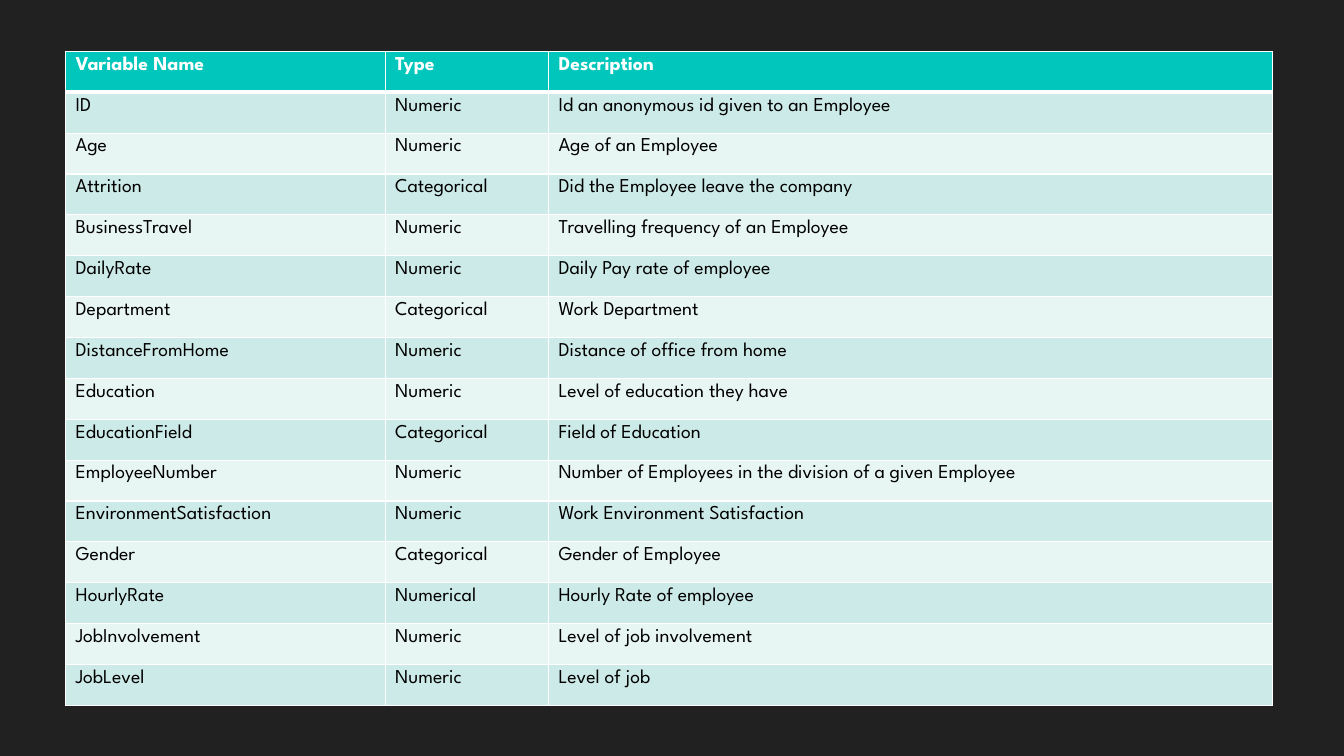
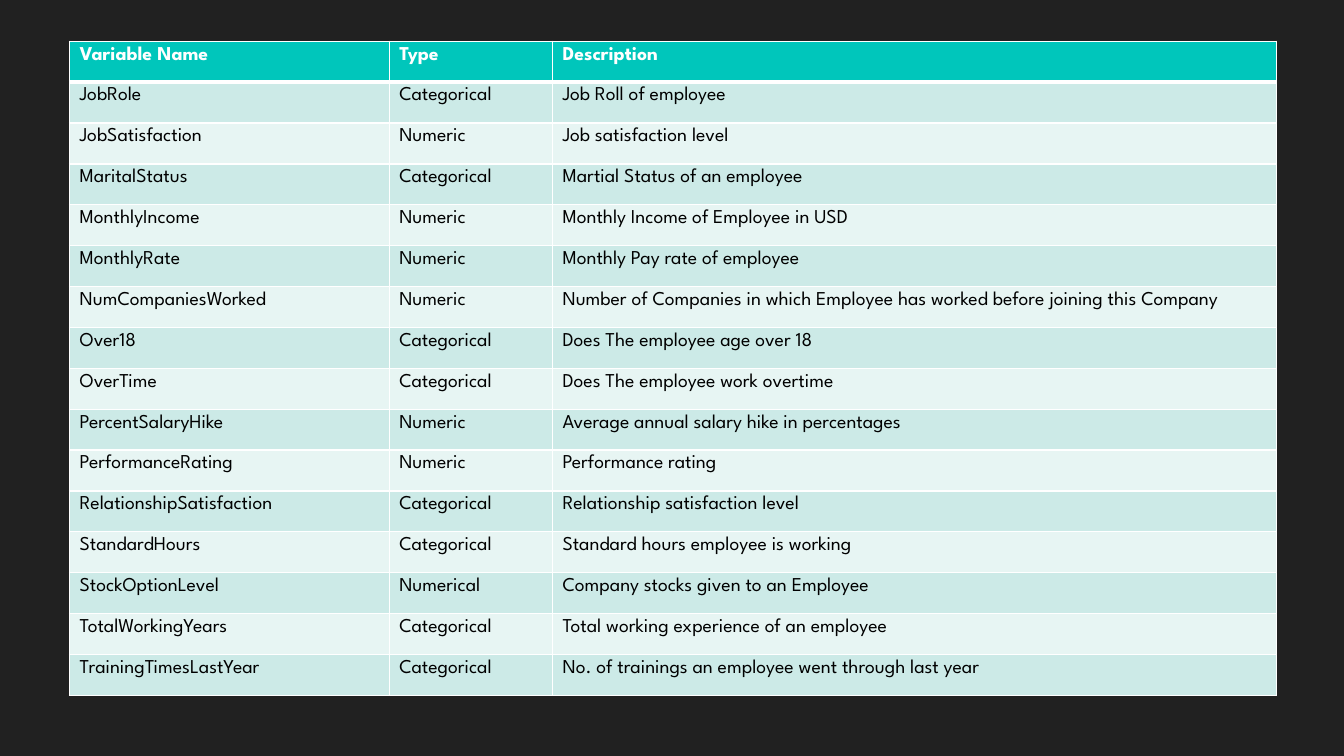
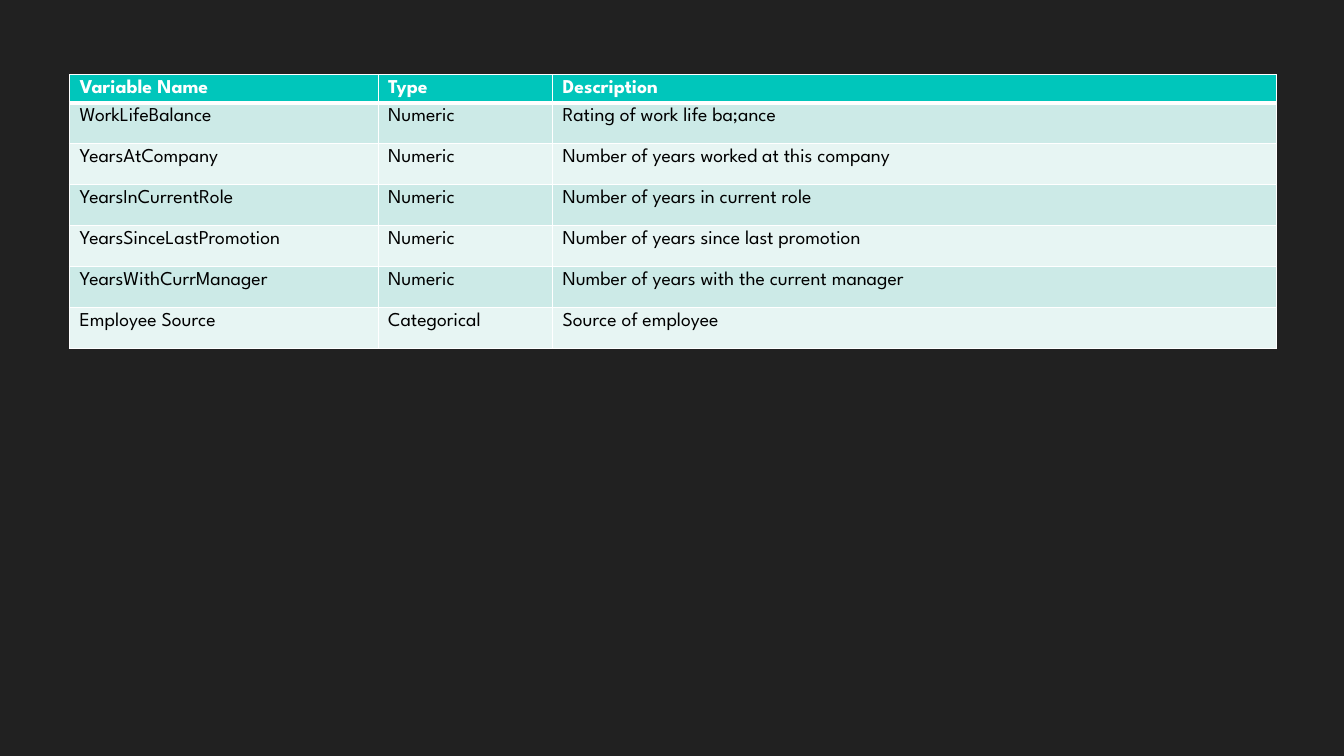
"""Build three slides that list the variables of an employee data set."""
import dataclasses

import lxml.etree
import pptx
import pptx.dml.color
import pptx.oxml.ns
import pptx.util

Inches = pptx.util.Inches


@dataclasses.dataclass(frozen=True)
class Theme:
    background: str = "212121"
    header: str = "00C6BB"
    bands: tuple = ("CCEAE7", "E7F5F3")
    header_text: str = "FFFFFF"
    body_text: str = "000000"
    border: str = "FFFFFF"
    thin: float = 1
    thick: float = 3
    font: str = "League Spartan"
    size: float = 14


THEME = Theme()
ROW_HEIGHT = 6.49 / 16
HEADINGS = ("Variable Name", "Type", "Description")

SLIDES = [
    {
        "left": 0.65, "top": 0.51, "header_height": ROW_HEIGHT,
        "columns": (3.17, 1.62, 7.18),
        "variables": [
            ("ID", "Numeric", "Id an anonymous id given to an Employee"),
            ("Age", "Numeric", "Age of an Employee"),
            ("Attrition", "Categorical", "Did the Employee leave the company"),
            ("BusinessTravel", "Numeric", "Travelling frequency of an Employee"),
            ("DailyRate", "Numeric", "Daily Pay rate of employee"),
            ("Department", "Categorical", "Work Department"),
            ("DistanceFromHome", "Numeric", "Distance of office from home"),
            ("Education", "Numeric", "Level of education they have"),
            ("EducationField", "Categorical", "Field of Education"),
            ("EmployeeNumber", "Numeric", "Number of Employees in the division of a given Employee"),
            ("EnvironmentSatisfaction", "Numeric", "Work Environment Satisfaction"),
            ("Gender", "Categorical", "Gender of Employee"),
            ("HourlyRate", "Numerical", "Hourly Rate of employee"),
            ("JobInvolvement", "Numeric", "Level of job involvement"),
            ("JobLevel", "Numeric", "Level of job"),
        ],
    },
    {
        "left": 0.69, "top": 0.41, "header_height": ROW_HEIGHT,
        "columns": (3.17, 1.62, 7.18),
        "variables": [
            ("JobRole", "Categorical", "Job Roll of employee"),
            ("JobSatisfaction", "Numeric", "Job satisfaction level"),
            ("MaritalStatus", "Categorical", "Martial Status of an employee"),
            ("MonthlyIncome", "Numeric", "Monthly Income of Employee in USD"),
            ("MonthlyRate", "Numeric", "Monthly Pay rate of employee"),
            ("NumCompaniesWorked", "Numeric",
             "Number of Companies in which Employee has worked before joining this Company"),
            ("Over18", "Categorical", "Does The employee age over 18"),
            ("OverTime", "Categorical", "Does The employee work overtime"),
            ("PercentSalaryHike", "Numeric", "Average annual salary hike in percentages"),
            ("PerformanceRating", "Numeric", "Performance rating"),
            ("RelationshipSatisfaction", "Categorical", "Relationship satisfaction level"),
            ("StandardHours", "Categorical", "Standard hours employee is working"),
            ("StockOptionLevel", "Numerical", "Company stocks given to an Employee"),
            ("TotalWorkingYears", "Categorical", "Total working experience of an employee"),
            ("TrainingTimesLastYear", "Categorical", "No. of trainings an employee went through last year"),
        ],
    },
    {
        "left": 0.69, "top": 0.74, "header_height": 0.28,
        "columns": (3.06, 1.73, 7.18),
        "variables": [
            ("WorkLifeBalance", "Numeric", "Rating of work life ba;ance"),
            ("YearsAtCompany", "Numeric", "Number of years worked at this company"),
            ("YearsInCurrentRole", "Numeric", "Number of years in current role"),
            ("YearsSinceLastPromotion", "Numeric", "Number of years since last promotion"),
            ("YearsWithCurrManager", "Numeric", "Number of years with the current manager"),
            ("Employee Source", "Categorical", "Source of employee"),
        ],
    },
]


def rgb(value):
    return pptx.dml.color.RGBColor.from_string(value)


def set_borders(cell, top, bottom):
    qualified = pptx.oxml.ns.qn
    properties = cell._tc.get_or_add_tcPr()
    widths = {"lnL": THEME.thin, "lnR": THEME.thin, "lnT": top, "lnB": bottom}
    for side, width in widths.items():
        line = lxml.etree.SubElement(properties, qualified(f"a:{side}"), w=str(pptx.util.Pt(width)))
        fill = lxml.etree.SubElement(line, qualified("a:solidFill"))
        lxml.etree.SubElement(fill, qualified("a:srgbClr"), val=THEME.border)


def style_cell(cell, text, row_index):
    is_header = row_index == 0
    set_borders(
        cell,
        top=THEME.thick if row_index == 1 else THEME.thin,
        bottom=THEME.thick if is_header else THEME.thin,
    )
    cell.fill.solid()
    cell.fill.fore_color.rgb = rgb(THEME.header if is_header else THEME.bands[(row_index - 1) % 2])
    cell.text = text
    font = cell.text_frame.paragraphs[0].font
    font.name = THEME.font
    font.size = pptx.util.Pt(THEME.size)
    font.bold = is_header
    font.color.rgb = rgb(THEME.header_text if is_header else THEME.body_text)


def add_variable_table(page, content):
    rows = [HEADINGS, *content["variables"]]
    columns = content["columns"]
    heights = [content["header_height"]] + [ROW_HEIGHT] * len(content["variables"])
    table = page.shapes.add_table(
        len(rows), len(columns), Inches(content["left"]), Inches(content["top"]),
        Inches(sum(columns)), Inches(sum(heights)),
    ).table
    for column, width in zip(table.columns, columns):
        column.width = Inches(width)
    for row_index, (row, height, texts) in enumerate(zip(table.rows, heights, rows)):
        row.height = Inches(height)
        for cell, text in zip(row.cells, texts):
            style_cell(cell, text, row_index)


def main():
    deck = pptx.Presentation()
    deck.slide_width, deck.slide_height = Inches(13.33), Inches(7.5)
    background = deck.slide_master.background.fill
    background.solid()
    background.fore_color.rgb = rgb(THEME.background)
    for content in SLIDES:
        add_variable_table(deck.slides.add_slide(deck.slide_layouts[6]), content)
    deck.save("out.pptx")


if __name__ == "__main__":
    main()
